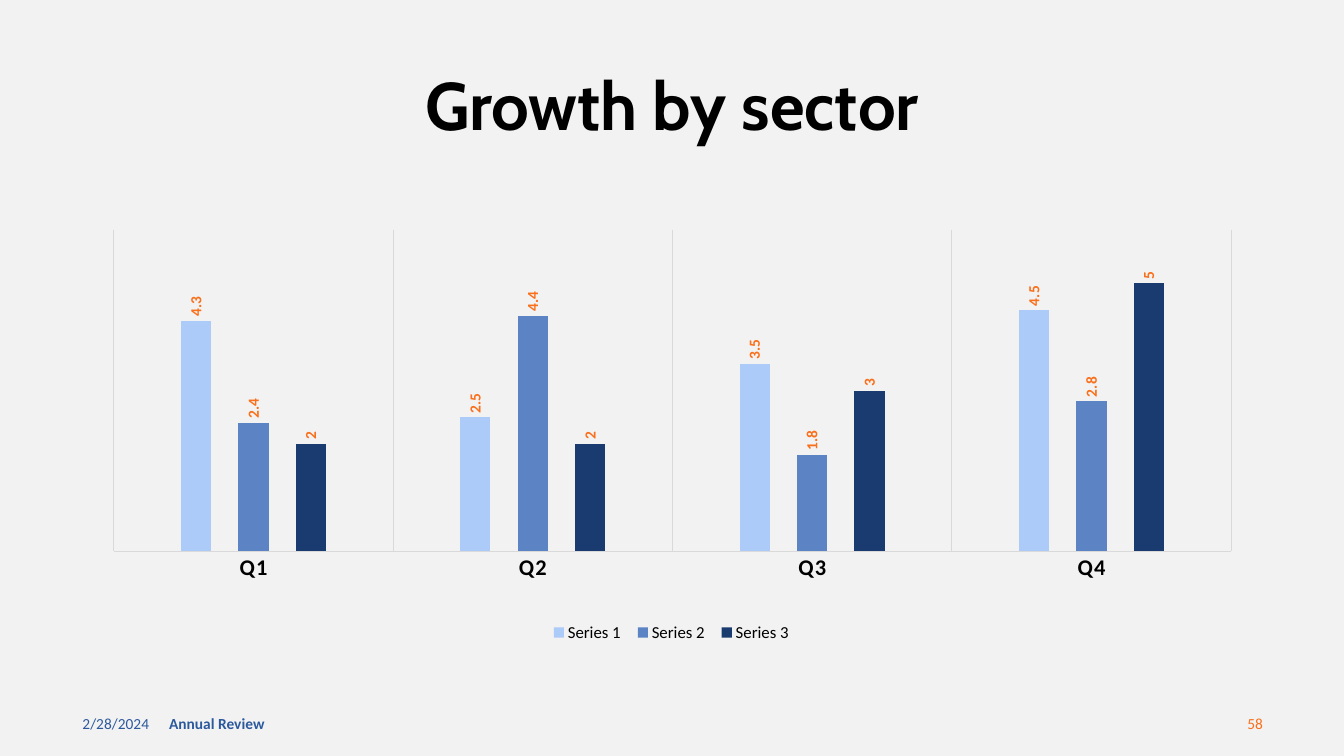
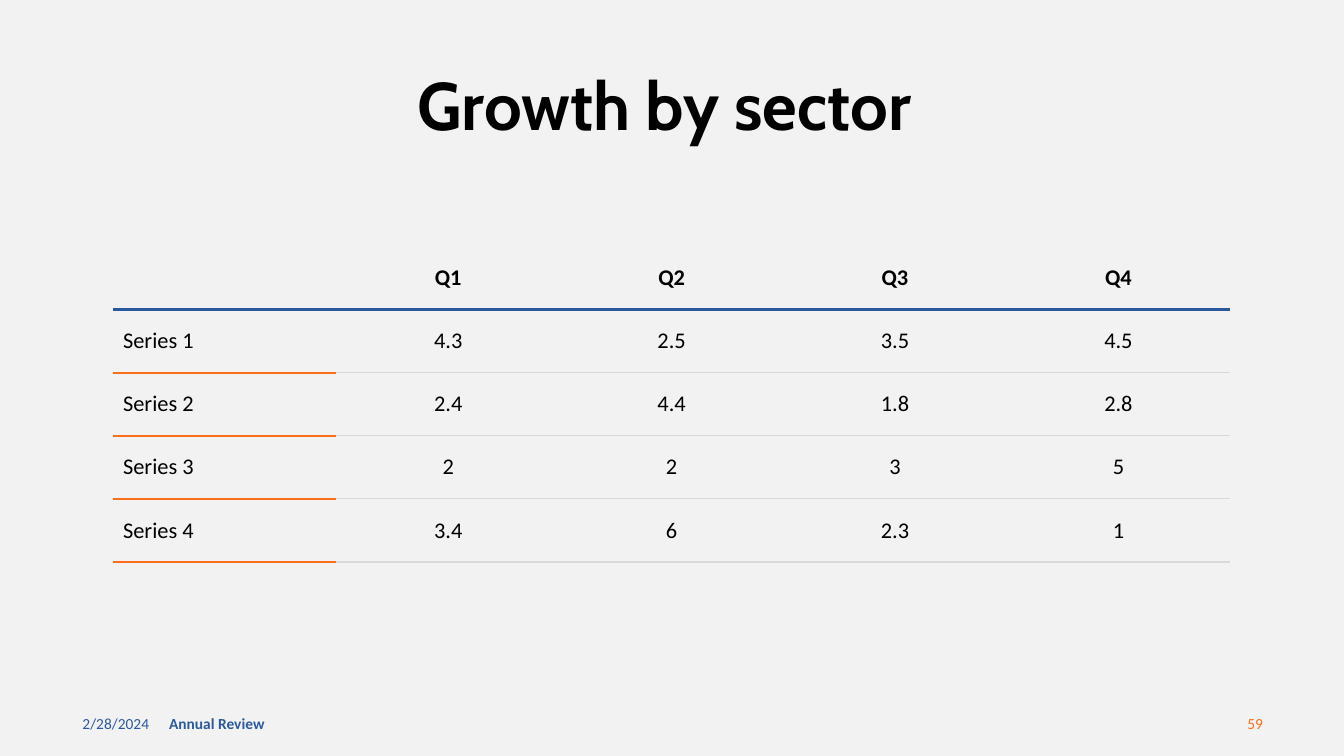
"""Build the two "Growth by sector" slides: a column chart and its table."""
from lxml.etree import SubElement
from pptx import Presentation
from pptx.chart.data import CategoryChartData
from pptx.dml.color import RGBColor
from pptx.enum.chart import XL_CHART_TYPE, XL_LABEL_POSITION, XL_LEGEND_POSITION, XL_TICK_MARK
from pptx.enum.text import MSO_ANCHOR, PP_ALIGN
from pptx.oxml import parse_xml
from pptx.oxml.ns import nsdecls, qn
from pptx.util import Cm, Pt

COLORS = {
    "background": "F2F2F2", "text": "000000", "blue": "2C599D", "orange": "FA6F1A", "grid": "D9D9D9",
    "Series 1": "ACCBF9", "Series 2": "5C83C4", "Series 3": "1A3B70",
}
BODY_FONT, TITLE_FONT = "Calibri", "Cabin"
QUARTERS = ["Q1", "Q2", "Q3", "Q4"]
GROWTH = {
    "Series 1": [4.3, 2.5, 3.5, 4.5],
    "Series 2": [2.4, 4.4, 1.8, 2.8],
    "Series 3": [2, 2, 3, 5],
    "Series 4": [3.4, 6, 2.3, 1],
}
FOOTER_TOP, FOOTER_HEIGHT = 17.73, 1.02
COLUMN_WIDTH, ROW_HEIGHT = 5.63, 1.59


def style_font(font, size, color="text", bold=False, name=BODY_FONT):
    font.size, font.bold, font.name = Pt(size), bold, name
    font.color.rgb = RGBColor.from_string(COLORS[color])


def add_text(page, text, place, size, align=PP_ALIGN.LEFT, **style):
    box = page.shapes.add_textbox(*[Cm(length) for length in place])
    frame = box.text_frame
    frame.word_wrap = True
    frame.vertical_anchor = MSO_ANCHOR.MIDDLE
    frame.text = text
    para = frame.paragraphs[0]
    para.alignment = align
    style_font(para.runs[0].font, size, **style)
    return para


deck = Presentation()
deck.slide_width, deck.slide_height = Cm(33.87), Cm(19.05)
backdrop = deck.slide_master.background.fill
backdrop.solid()
backdrop.fore_color.rgb = RGBColor.from_string(COLORS["background"])

pages = []
for number, title in [("58", "Growth by sector"), ("59", "Growth by sector ")]:
    page = deck.slides.add_slide(deck.slide_layouts[6])
    add_text(page, "2/28/2024", (1.83, FOOTER_TOP, 7.62, FOOTER_HEIGHT), 11, color="blue")
    add_text(page, "Annual Review", (4.01, FOOTER_TOP, 11.43, FOOTER_HEIGHT), 11, color="blue", bold=True)
    add_text(page, number, (24.46, FOOTER_TOP, 7.62, FOOTER_HEIGHT), 11, PP_ALIGN.RIGHT, color="orange")
    heading = add_text(page, title, (2.33, 1.75, 29.21, 1.96), 48, PP_ALIGN.CENTER, bold=True, name=TITLE_FONT)
    heading.line_spacing = 0.9
    pages.append(page)
chart_page, table_page = pages

data = CategoryChartData()
data.categories = QUARTERS
for name in list(GROWTH)[:3]:
    data.add_series(name, GROWTH[name])
chart = chart_page.shapes.add_chart(
    XL_CHART_TYPE.COLUMN_CLUSTERED, Cm(2.16), Cm(5.42), Cm(29.52), Cm(11.35), data).chart
style_font(chart.font, 10)
chart.has_title = False

plot = chart.plots[0]
plot.gap_width, plot.overlap, plot.vary_by_categories = 444, -90, False
for series in plot.series:
    series.format.fill.solid()
    series.format.fill.fore_color.rgb = RGBColor.from_string(COLORS[series.name])
    series.invert_if_negative = False
    labels = series.data_labels
    labels.show_value = True
    labels.position = XL_LABEL_POSITION.OUTSIDE_END
    style_font(labels.font, 11, "orange", bold=True)

value_axis = chart.value_axis
value_axis.minimum_scale, value_axis.maximum_scale = 0, 6
value_axis.has_major_gridlines = False
value_axis.visible = False

category_axis = chart.category_axis
category_axis.has_major_gridlines = True
category_axis.major_tick_mark = category_axis.minor_tick_mark = XL_TICK_MARK.NONE
style_font(category_axis.tick_labels.font, 16, bold=True)
for line in (category_axis.format.line, category_axis.major_gridlines.format.line):
    line.color.rgb = RGBColor.from_string(COLORS["grid"])
    line.width = Pt(0.75)

chart.has_legend = True
chart.legend.position = XL_LEGEND_POSITION.BOTTOM
chart.legend.include_in_layout = False
style_font(chart.legend.font, 12)

chart_xml = chart.element
for body in chart_xml.xpath(".//c:dLbls//a:bodyPr"):
    body.set("rot", "-5400000")
    body.set("vert", "horz")
for letters in chart_xml.xpath(".//c:catAx//a:defRPr"):
    letters.set("spc", "100")

for tag, index, target, area in [
    ("plotArea", 0, '<c:layoutTarget val="inner"/>', (0.024, 0.033, 0.954, 0.713)),
    ("legend", 1, "", (0.39, 0.897, 0.22, 0.06)),
]:
    host = chart_xml.xpath(f".//c:{tag}")[0]
    for layout in host.findall(qn("c:layout")):
        host.remove(layout)
    sizes = "".join(f'<c:{key} val="{value}"/>' for key, value in zip("xywh", area))
    host.insert(index, parse_xml(
        f'<c:layout {nsdecls("c")}><c:manualLayout>{target}<c:xMode val="edge"/><c:yMode val="edge"/>'
        f"{sizes}</c:manualLayout></c:layout>"))

rows = [["", *QUARTERS], *[[name, *values] for name, values in GROWTH.items()], [""] * 5]
table = table_page.shapes.add_table(
    len(rows), 5, Cm(2.85), Cm(6.21), Cm(5 * COLUMN_WIDTH), Cm(len(rows) * ROW_HEIGHT)).table
table.first_row = table.horz_banding = False
for column in table.columns:
    column.width = Cm(COLUMN_WIDTH)
for row in table.rows:
    row.height = Cm(ROW_HEIGHT)

for row_index, values in enumerate(rows):
    for column_index, value in enumerate(values):
        cell = table.cell(row_index, column_index)
        cell.fill.background()
        cell.vertical_anchor = MSO_ANCHOR.MIDDLE
        cell.text = str(value)
        para = cell.text_frame.paragraphs[0]
        para.alignment = PP_ALIGN.CENTER if column_index else PP_ALIGN.LEFT
        for span in para.runs:
            style_font(span.font, 16, bold=row_index == 0)

        row_rule = ("grid", 1) if column_index else ("orange", 1.5)
        rules = [None, ("blue", 3), *[row_rule] * 4, None]
        sides = {"lnL": None, "lnR": None, "lnT": rules[row_index], "lnB": rules[row_index + 1]}
        properties = cell._tc.get_or_add_tcPr()
        for position, (side, rule) in enumerate(sides.items()):
            border = SubElement(properties, qn(f"a:{side}"))
            properties.insert(position, border)
            if rule:
                color, width = rule
                border.set("w", str(Pt(width)))
                fill = SubElement(border, qn("a:solidFill"))
                SubElement(fill, qn("a:srgbClr")).set("val", COLORS[color])
            else:
                SubElement(border, qn("a:noFill"))

deck.save("out.pptx")
